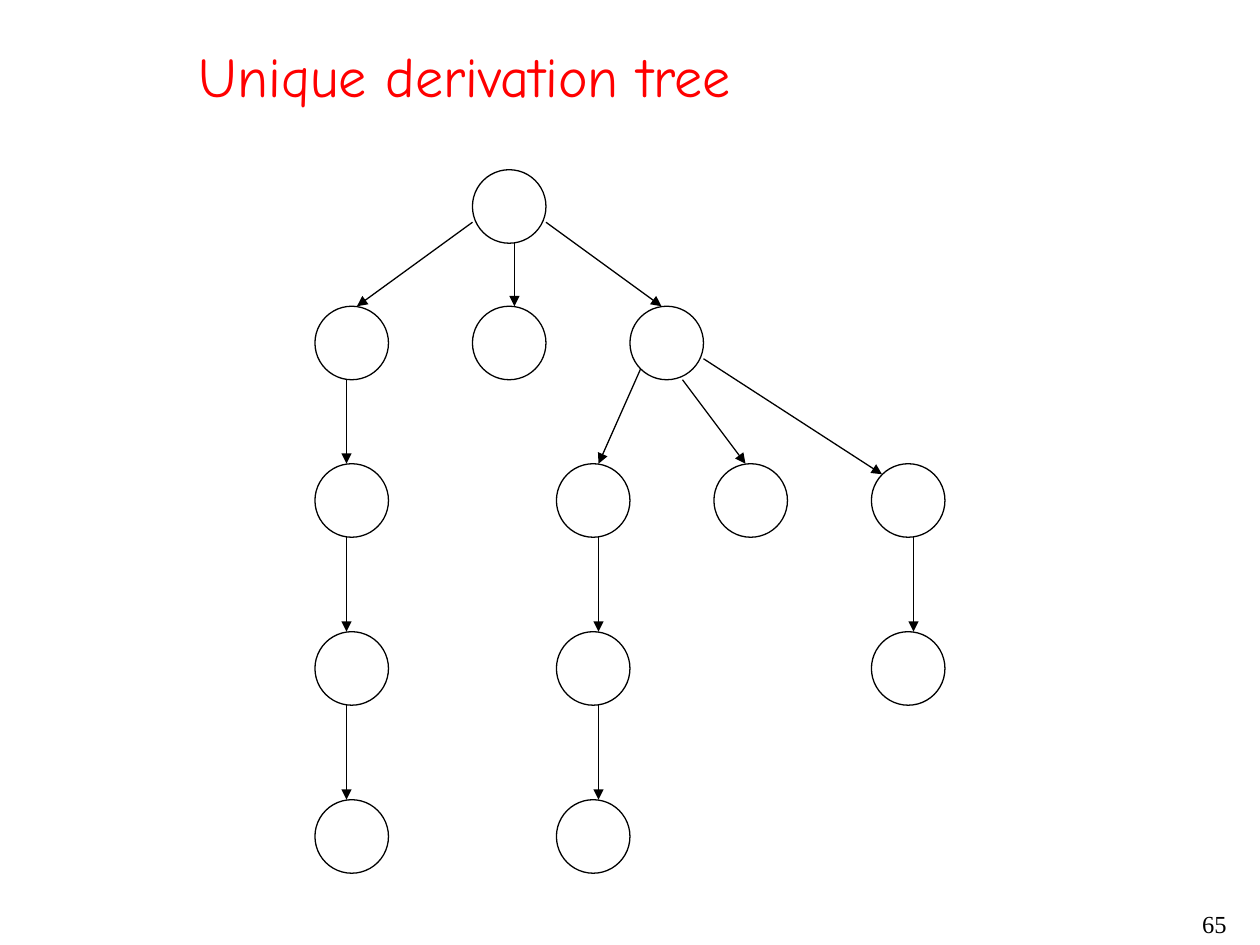
from lxml.etree import SubElement
from pptx import Presentation
from pptx.dml.color import RGBColor
from pptx.enum.shapes import MSO_CONNECTOR, MSO_SHAPE
from pptx.enum.text import MSO_AUTO_SIZE, PP_ALIGN
from pptx.oxml.ns import qn
from pptx.util import Pt

COLORS = {"title": "FF0000", "ink": "000000"}
NODE_SIZE = 42
LINE_WIDTH = 0.75

# Top of each tree level, and the left edges of the nodes on it
LEVELS = [
    (97, [270]),
    (175, [180, 270, 360]),
    (265, [180, 318, 408, 498]),
    (361, [180, 318, 498]),
    (457, [180, 318]),
]

# Branches from the two nodes with three children: x1, y1, x2, y2
BRANCHES = [
    (270, 127, 204, 175),
    (294, 139, 294, 175),
    (312, 127, 378, 175),
    (366, 211, 342, 265),
    (390, 217, 426, 265),
    (402, 205, 504, 271),
]

# Straight chains: x, first level, last level
CHAINS = [(198, 1, 4), (342, 2, 4), (522, 2, 3)]


def rgb(name):
    return RGBColor.from_string(COLORS[name])


def add_text(slide, box, text, font, size, color, wrap=True):
    s = slide.shapes.add_textbox(*map(Pt, box))
    tf = s.text_frame
    tf.word_wrap = wrap
    tf.text = text
    p = tf.paragraphs[0]
    p.font.name = font
    p.font.size = Pt(size)
    p.font.color.rgb = rgb(color)
    return tf


def add_node(slide, left, top):
    s = slide.shapes.add_shape(
        MSO_SHAPE.OVAL, Pt(left), Pt(top), Pt(NODE_SIZE), Pt(NODE_SIZE))
    s.shadow.inherit = False
    s.fill.background()
    s.line.color.rgb = rgb("ink")
    s.line.width = Pt(LINE_WIDTH)


def add_arrow(slide, x1, y1, x2, y2):
    s = slide.shapes.add_connector(
        MSO_CONNECTOR.STRAIGHT, Pt(x1), Pt(y1), Pt(x2), Pt(y2))
    s.line.color.rgb = rgb("ink")
    s.line.width = Pt(LINE_WIDTH)
    sp_pr = s.element.spPr
    SubElement(sp_pr.find(qn("a:ln")), qn("a:tailEnd"), type="triangle")
    SubElement(sp_pr, qn("a:effectLst"))


def add_tree(slide):
    for top, lefts in LEVELS:
        for left in lefts:
            add_node(slide, left, top)
    for branch in BRANCHES:
        add_arrow(slide, *branch)
    tops = [top for top, _ in LEVELS]
    for x, first, last in CHAINS:
        for level in range(first, last):
            add_arrow(slide, x, tops[level] + NODE_SIZE, x, tops[level + 1])


def main():
    prs = Presentation()
    prs.slide_width, prs.slide_height = Pt(720), Pt(540)
    slide = prs.slides.add_slide(prs.slide_layouts[6])

    number = add_text(slide, (558, 516, 150, 24), "65",
                      "Times New Roman", 14, "ink")
    number.paragraphs[0].alignment = PP_ALIGN.RIGHT
    add_tree(slide)
    title = add_text(slide, (106.5, 20, 350, 45), "Unique derivation tree",
                     "Comic Neue", 32, "title", wrap=False)
    title.auto_size = MSO_AUTO_SIZE.SHAPE_TO_FIT_TEXT

    prs.save("out.pptx")


if __name__ == "__main__":
    main()
